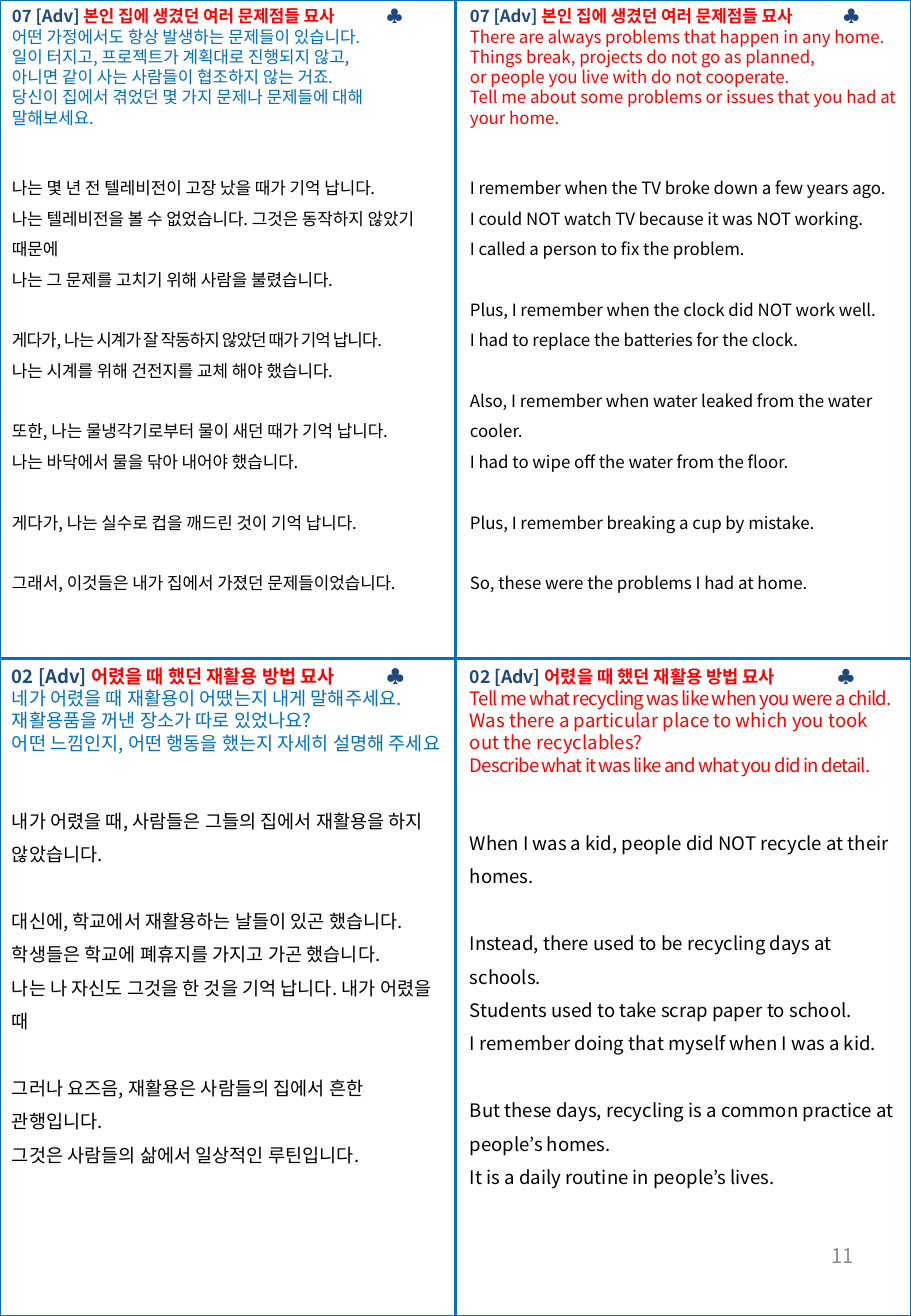
from lxml import etree
from pptx import Presentation
from pptx import util as u
from pptx.dml.color import RGBColor
from pptx.enum import shapes, text
from pptx.oxml import ns

WIDTH, HEIGHT = 7.5, 10.83
MID_X, MID_Y = 3.75, 5.42
RIGHT_X = 3.77
BLUE, RED, NAVY, BLACK, GREY = "0070C0", "FF0000", "1F497D", "000000", "8C8C8C"
PROBLEMS = "본인 집에 생겼던 여러 문제점들 묘사"
RECYCLING = "어렸을 때 했던 재활용 방법 묘사"
TIGHT = "~"  # marks a line with condensed letters


def rgb(value):
    return RGBColor.from_string(value)


class Page:
    font = "Noto Sans CJK KR"

    def __init__(self, prs):
        self.s = prs.slides.add_slide(prs.slide_layouts[6])

    def line(self, x1, y1, x2, y2):
        c = self.s.shapes.add_connector(shapes.MSO_CONNECTOR.STRAIGHT, u.Inches(x1),
                                        u.Inches(y1), u.Inches(x2), u.Inches(y2))
        c.line.color.rgb = rgb(BLUE)
        c.line.width = u.Pt(1.5)
        etree.SubElement(c._element.spPr, ns.qn("a:effectLst"))

    def frame(self, x, y, w, h):
        sp = self.s.shapes.add_shape(shapes.MSO_SHAPE.RECTANGLE, u.Inches(x),
                                     u.Inches(y), u.Inches(w), u.Inches(h))
        sp.shadow.inherit = False
        sp.fill.background()
        sp.line.color.rgb = rgb(BLUE)
        sp.line.width = u.Pt(1.5)

    def box(self, x, y, w, h):
        sp = self.s.shapes.add_textbox(u.Inches(x), u.Inches(y), u.Inches(w), u.Inches(h))
        sp.text_frame.word_wrap = True
        return sp.text_frame

    def style(self, r, size, color, bold=False):
        r.font.size = u.Pt(size)
        r.font.bold = bold
        r.font.color.rgb = rgb(color)
        r.font.name = self.font
        ea = etree.SubElement(r._r.get_or_add_rPr(), ns.qn("a:ea"))
        ea.set("typeface", self.font)

    def heading(self, p, label, title, size, tab):
        tabs = etree.SubElement(p._p.get_or_add_pPr(), ns.qn("a:tabLst"))
        etree.SubElement(tabs, ns.qn("a:tab"), pos=str(u.Inches(tab)), algn="l")
        for words, color in ((label + " ", NAVY), (title + "\t", RED), ("♣", NAVY)):
            r = p.add_run()
            r.text = words
            self.style(r, size, color, bold=True)

    def paragraph(self, tf, words, size, color, pitch, before=0):
        p = tf.add_paragraph()
        p.text = words.removeprefix(TIGHT)
        p.line_spacing = u.Pt(pitch)
        p.space_before = u.Pt(before)
        for r in p.runs:
            self.style(r, size, color)
            if words.startswith(TIGHT):
                r._r.get_or_add_rPr().set("spc", "-50")

    def card(self, x, y, h, size, label, title, head_size, tab, color, question, answer):
        single, wide = 1.2 * size, 1.8 * size
        tf = self.box(x, y, MID_X, h)
        tf.auto_size = text.MSO_AUTO_SIZE.SHAPE_TO_FIT_TEXT
        p = tf.paragraphs[0]
        self.heading(p, label, title, head_size, tab)
        p.line_spacing = u.Pt(single)
        for words in question:
            self.paragraph(tf, words, size, color, single)
        gap = 2 * single
        for group in answer:
            for words in group:
                self.paragraph(tf, words, size, BLACK, wide, gap)
                gap = 0
            gap = wide

    def number(self, words, x, y, w, h):
        tf = self.box(x, y, w, h)
        tf.vertical_anchor = text.MSO_ANCHOR.MIDDLE
        p = tf.paragraphs[0]
        p.text = words
        p.alignment = text.PP_ALIGN.RIGHT
        self.style(p.runs[0], 12, GREY)


def main():
    prs = Presentation()
    prs.slide_width, prs.slide_height = u.Inches(WIDTH), u.Inches(HEIGHT)
    page = Page(prs)

    # Grid and page number
    page.line(0, MID_Y, WIDTH, MID_Y)
    page.line(MID_X, 0, MID_X, HEIGHT)
    page.frame(0, 0, WIDTH, HEIGHT)
    page.number("11", 5.38, 10.04, 1.75, 0.58)

    # Problems at home, Korean
    page.card(0, 0, 5.15, 10, "07 [Adv]", PROBLEMS, 10, 3.08, BLUE, [
        "어떤 가정에서도 항상 발생하는 문제들이 있습니다.",
        "일이 터지고, 프로젝트가 계획대로 진행되지 않고,",
        "아니면 같이 사는 사람들이 협조하지 않는 거죠.",
        "당신이 집에서 겪었던 몇 가지 문제나 문제들에 대해 말해보세요.",
    ], [
        ["나는 몇 년 전 텔레비전이 고장 났을 때가 기억 납니다.",
         "나는 텔레비전을 볼 수 없었습니다. 그것은 동작하지 않았기 때문에",
         "나는 그 문제를 고치기 위해 사람을 불렸습니다."],
        ["~게다가, 나는 시계가 잘 작동하지 않았던 때가 기억 납니다.",
         "나는 시계를 위해 건전지를 교체 해야 했습니다."],
        ["또한, 나는 물냉각기로부터 물이 새던 때가 기억 납니다.",
         "나는 바닥에서 물을 닦아 내어야 했습니다."],
        ["게다가, 나는 실수로 컵을 깨드린 것이 기억 납니다."],
        ["그래서, 이것들은 내가 집에서 가졌던 문제들이었습니다."],
    ])

    # Problems at home, English
    page.card(RIGHT_X, 0, 5.12, 10, "07 [Adv]", PROBLEMS, 10, 3.07, RED, [
        "There are always problems that happen in any home.",
        "Things break, projects do not go as planned,",
        "or people you live with do not cooperate.",
        "Tell me about some problems or issues that you had at your home.",
    ], [
        ["I remember when the TV broke down a few years ago.",
         "I could NOT watch TV because it was NOT working.",
         "I called a person to fix the problem."],
        ["Plus, I remember when the clock did NOT work well.",
         "I had to replace the batteries for the clock."],
        ["Also, I remember when water leaked from the water cooler.",
         "I had to wipe off the water from the floor."],
        ["Plus, I remember breaking a cup by mistake."],
        ["So, these were the problems I had at home."],
    ])

    # Recycling as a child, Korean
    page.card(0, MID_Y, 4.42, 11, "02 [Adv]", RECYCLING, 11, 3.08, BLUE, [
        "네가 어렸을 때 재활용이 어땠는지 내게 말해주세요.",
        "재활용품을 꺼낸 장소가 따로 있었나요?",
        "어떤 느낌인지, 어떤 행동을 했는지 자세히 설명해 주세요",
    ], [
        ["내가 어렸을 때, 사람들은 그들의 집에서 재활용을 하지 않았습니다."],
        ["대신에, 학교에서 재활용하는 날들이 있곤 했습니다.",
         "학생들은 학교에 폐휴지를 가지고 가곤 했습니다.",
         "나는 나 자신도 그것을 한 것을 기억 납니다. 내가 어렸을 때"],
        ["그러나 요즈음, 재활용은 사람들의 집에서 흔한 관행입니다.",
         "그것은 사람들의 삶에서 일상적인 루틴입니다."],
    ])

    # Recycling as a child, English
    page.card(RIGHT_X, MID_Y, 4.13, 11, "02 [Adv]", RECYCLING, 10.5, 3.03, RED, [
        "~Tell me what recycling was like when you were a child.",
        "Was there a particular place to which you took out the recyclables?",
        "~Describe what it was like and what you did in detail.",
    ], [
        ["When I was a kid, people did NOT recycle at their homes."],
        ["Instead, there used to be recycling days at schools.",
         "Students used to take scrap paper to school.",
         "I remember doing that myself when I was a kid."],
        ["But these days, recycling is a common practice at people’s homes.",
         "It is a daily routine in people’s lives."],
    ])

    prs.save("out.pptx")


if __name__ == "__main__":
    main()
